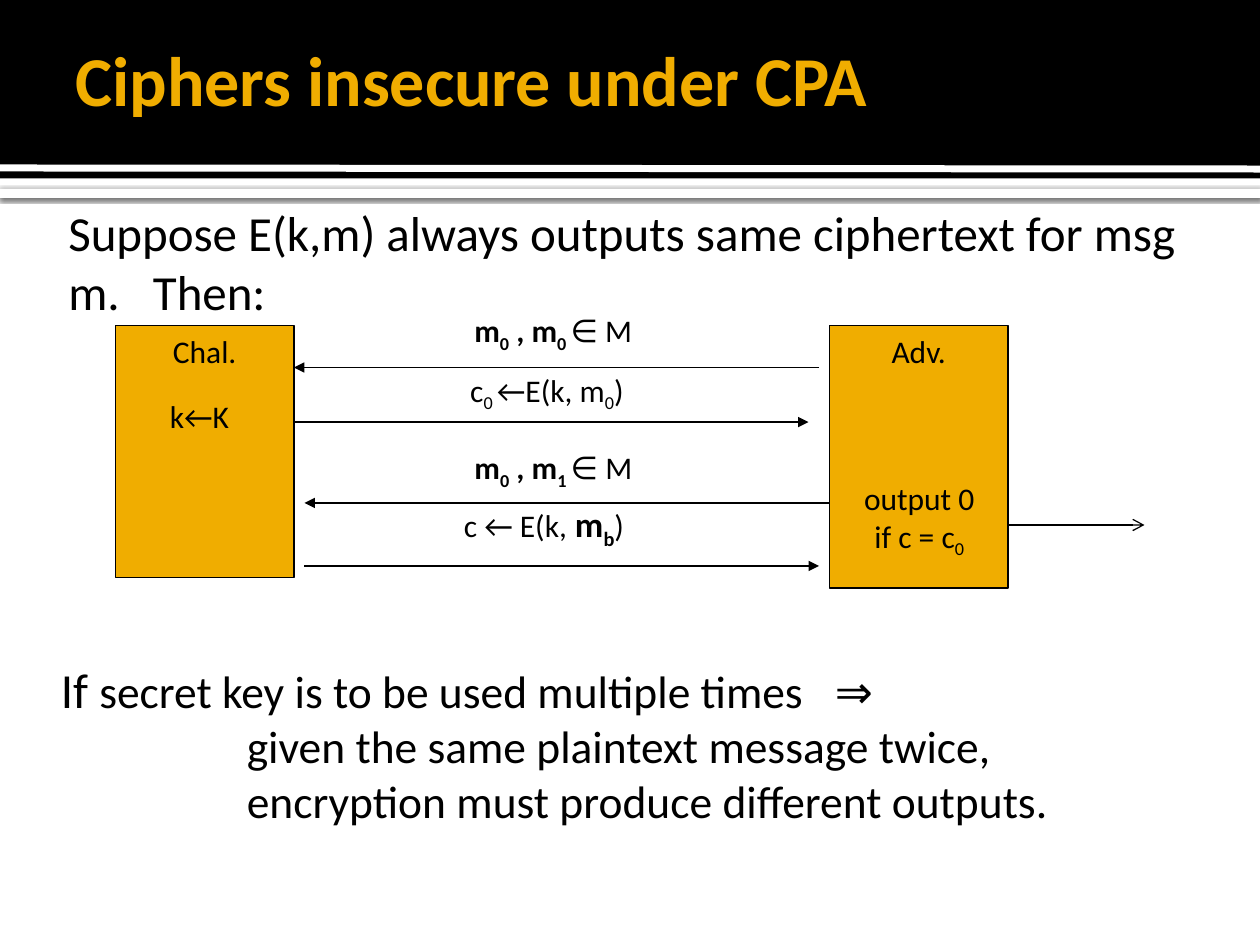
import pptx
import pptx.util
import pptx.dml.color
import pptx.enum.shapes
import pptx.enum.text
import pptx.oxml
import pptx.oxml.ns

SHAPES = pptx.enum.shapes.MSO_SHAPE
ALIGN = pptx.enum.text.PP_ALIGN
ANCHOR = pptx.enum.text.MSO_ANCHOR
RGB = pptx.dml.color.RGBColor.from_string
COLS, ROWS = 120, 90
THEME = {
    "font": "Calibri", "ink": RGB("000000"), "paper": RGB("FFFFFF"), "gold": RGB("F0AD00"),
    "title": 40, "lead": 28, "body": 26, "strong": 20, "label": 18, "rule": 4, "line": 0.75,
}

deck = pptx.Presentation()
deck.slide_width, deck.slide_height = pptx.util.Inches(10), pptx.util.Inches(7.5)
col, row = deck.slide_width / COLS, deck.slide_height / ROWS
slide = deck.slides.add_slide(deck.slide_layouts[6])


def put_text(shape, paragraphs, wrap=False, align=ALIGN.LEFT, color=THEME["ink"]):
    frame = shape.text_frame
    frame.word_wrap = wrap
    for index, runs in enumerate(paragraphs):
        paragraph = frame.paragraphs[0] if index == 0 else frame.add_paragraph()
        paragraph.alignment = align
        for words, size, style in runs:
            run = paragraph.add_run()
            run.text = words
            run.font.name = THEME["font"]
            run.font.size = pptx.util.Pt(THEME[size])
            run.font.bold = "b" in style
            run.font.color.rgb = color
            if "_" in style:
                run._r.get_or_add_rPr().set("baseline", "-25000")
    return frame


def draw_line(x1, y1, x2, y2, color, width, head=None):
    line = slide.shapes.add_connector(
        pptx.enum.shapes.MSO_CONNECTOR.STRAIGHT,
        int(x1 * col), int(y1 * row), int(x2 * col), int(y2 * row))
    line.line.color.rgb = THEME[color]
    line.line.width = pptx.util.Pt(THEME[width])
    if head:
        tail = pptx.oxml.ns.qn("a:tailEnd")
        line.line._get_or_add_ln().append(pptx.oxml.parse_xml(
            f'<a:tailEnd {pptx.oxml.ns.nsdecls("a")} type="{head}"/>'))
    line._element.spPr.append(pptx.oxml.parse_xml(
        f'<a:effectLst {pptx.oxml.ns.nsdecls("a")}/>'))


for top, height, color, shaded in [(18, 0.85, "paper", True), (0, 17, "ink", False)]:
    band = slide.shapes.add_shape(
        SHAPES.RECTANGLE, 0, int(top * row), deck.slide_width, int(height * row))
    band.shadow.inherit = False
    band.fill.solid()
    band.fill.fore_color.rgb = THEME[color]
    band.line.fill.background()
    if shaded:
        band._element.spPr.find(pptx.oxml.ns.qn("a:effectLst")).append(pptx.oxml.parse_xml(
            f'<a:outerShdw {pptx.oxml.ns.nsdecls("a")} blurRad="31750" dist="10160" '
            'dir="5400000" rotWithShape="0"><a:srgbClr val="000000">'
            '<a:alpha val="60000"/></a:srgbClr></a:outerShdw>'))
draw_line(0, 16, COLS, 16.1, "paper", "rule")

title = slide.shapes.add_textbox(int(6 * col), int(row), int(99 * col), int(13 * row))
title_frame = put_text(
    title, [[("Ciphers insecure under CPA", "title", "b")]], True, color=THEME["gold"])
title_frame.vertical_anchor = ANCHOR.MIDDLE

passages = [
    (6.5, 19.3, 109.3, 12, [
        [("Suppose E(k,m) always outputs same ciphertext for msg m.   Then:", "lead", "")]]),
    (5.8, 62.8, 110, 18, [
        [("If ", "lead", ""), ("secret key is to be used multiple times   ⇒", "body", "")],
        [("given the same plaintext message twice, ", "body", "")],
        [("encryption must produce different outputs.", "body", "")]]),
]
for left, top, width, height, paragraphs in passages:
    passage = slide.shapes.add_textbox(
        int(left * col), int(top * row), int(width * col), int(height * row))
    frame = put_text(passage, paragraphs, True)
    frame.margin_left = frame.margin_right = frame.margin_top = frame.margin_bottom = 0
    for conclusion in frame.paragraphs[1:]:
        conclusion._p.get_or_add_pPr().set("marL", str(int(17.7 * col)))

for party, left, height in [("Chal.", 11, 24), ("Adv.", 79, 25)]:
    box = slide.shapes.add_shape(
        SHAPES.RECTANGLE, int(left * col), int(31 * row), int(17 * col), int(height * row))
    box.shadow.inherit = False
    box.fill.solid()
    box.fill.fore_color.rgb = THEME["gold"]
    box.line.color.rgb = THEME["ink"]
    box.line.width = pptx.util.Pt(THEME["line"])
    put_text(box, [[(party, "label", "")]], align=ALIGN.CENTER).vertical_anchor = ANCHOR.TOP

for start, end, level, head in [
    (78, 28, 35, "triangle"), (28, 77, 40.2, "triangle"), (79, 29, 47.9, "triangle"),
    (29, 78, 53.9, "triangle"), (96, 109, 50, "arrow"),
]:
    draw_line(start, level, end, level, "ink", "line", head)

labels = [
    (15, 37.2, 8.8, 4.8, ALIGN.LEFT, [[("k←K", "label", "")]]),
    (44, 29, 17.8, 4.8, ALIGN.LEFT, [[
        ("m", "label", "b"), ("0", "label", "b_"), (" , m", "label", "b"),
        ("0 ", "label", "b_"), ("∈ M", "label", "")]]),
    (43.6, 34.7, 18.2, 4.8, ALIGN.LEFT, [[
        ("c", "label", ""), ("0 ", "label", "_"), ("←E(k, m", "label", ""),
        ("0", "label", "_"), (")", "label", "")]]),
    (44, 42.1, 18.6, 4.8, ALIGN.LEFT, [[
        ("m", "label", "b"), ("0", "label", "b_"), (" , m", "label", "b"),
        ("1 ", "label", "b_"), ("∈ M", "label", "")]]),
    (43, 47.3, 18.5, 5.3, ALIGN.LEFT, [[
        ("c ← E(k,", "label", ""), (" m", "strong", "b"), ("b", "strong", "b_"),
        (")", "label", "")]]),
    (81, 45, 13.1, 8.5, ALIGN.CENTER, [
        [("output 0", "label", "")],
        [("if c = c", "label", ""), ("0", "label", "_")]]),
]
for left, top, width, height, align, paragraphs in labels:
    label = slide.shapes.add_textbox(
        int(left * col), int(top * row), int(width * col), int(height * row))
    put_text(label, paragraphs, align=align)

deck.save("out.pptx")
